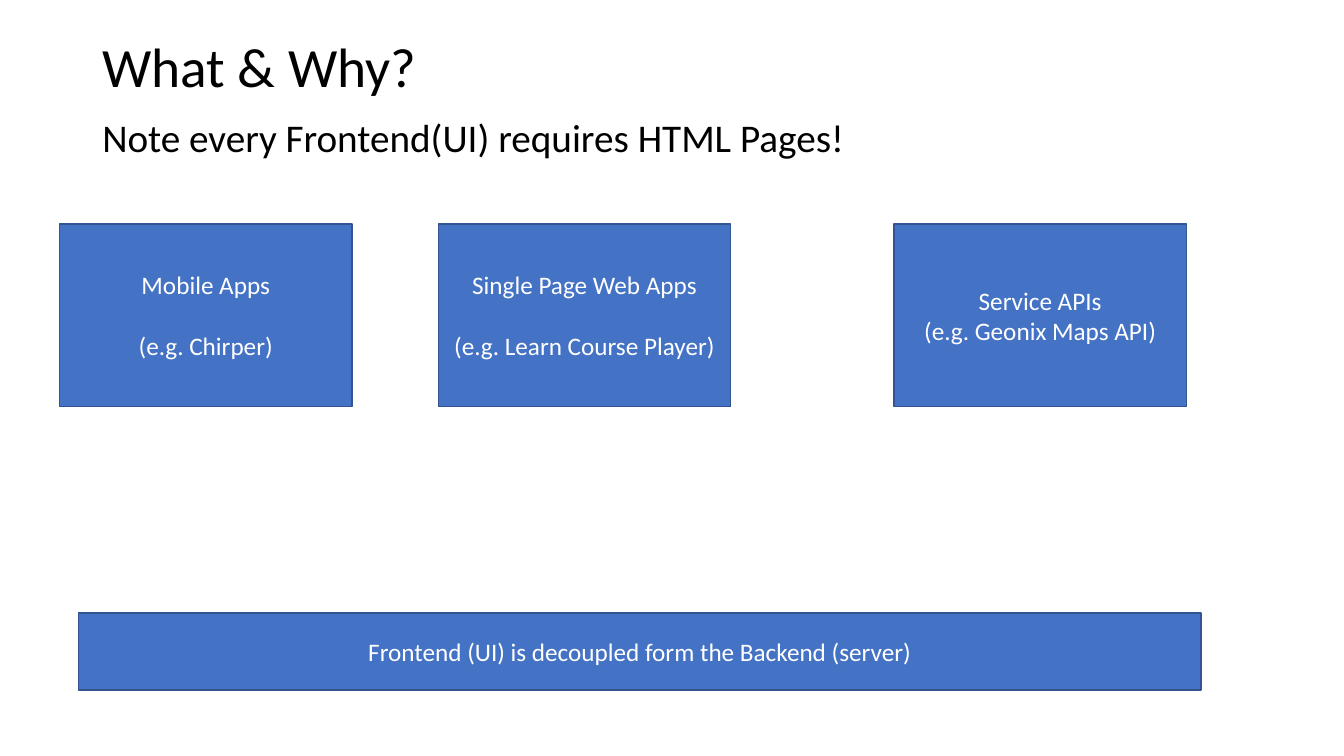
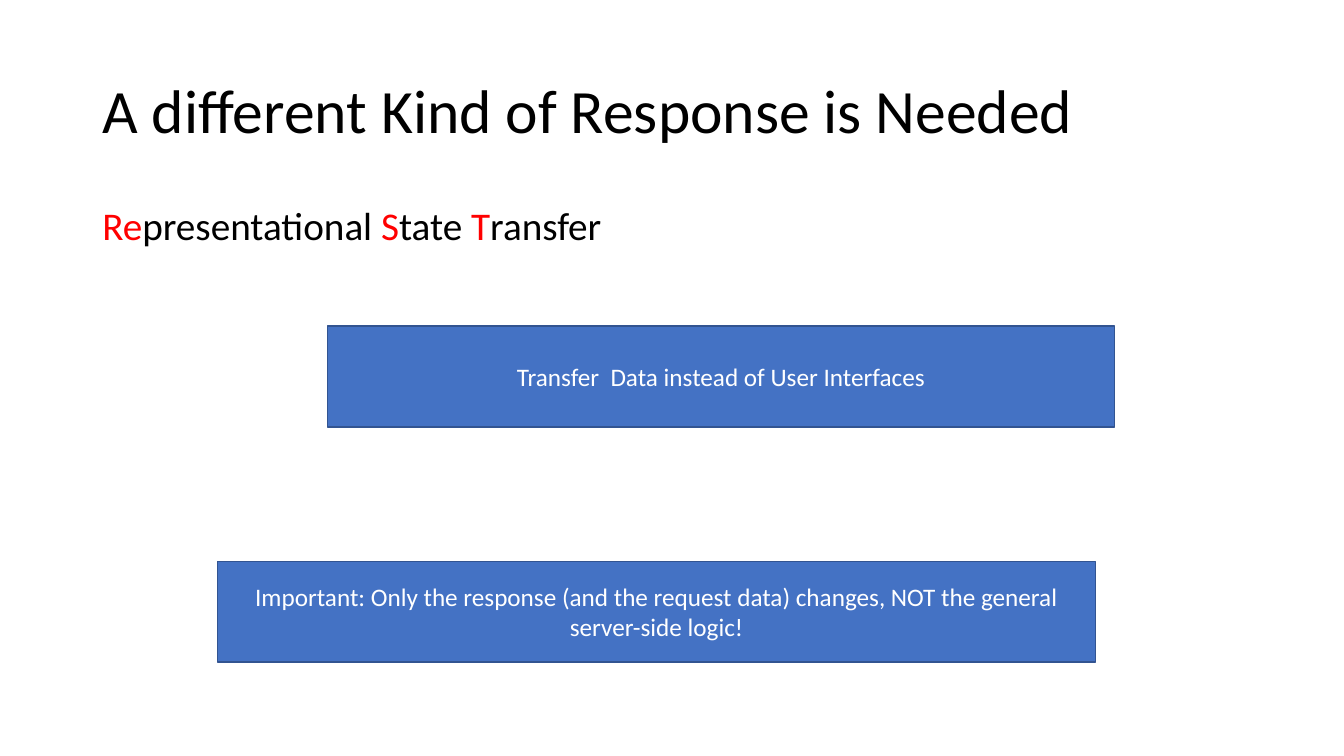
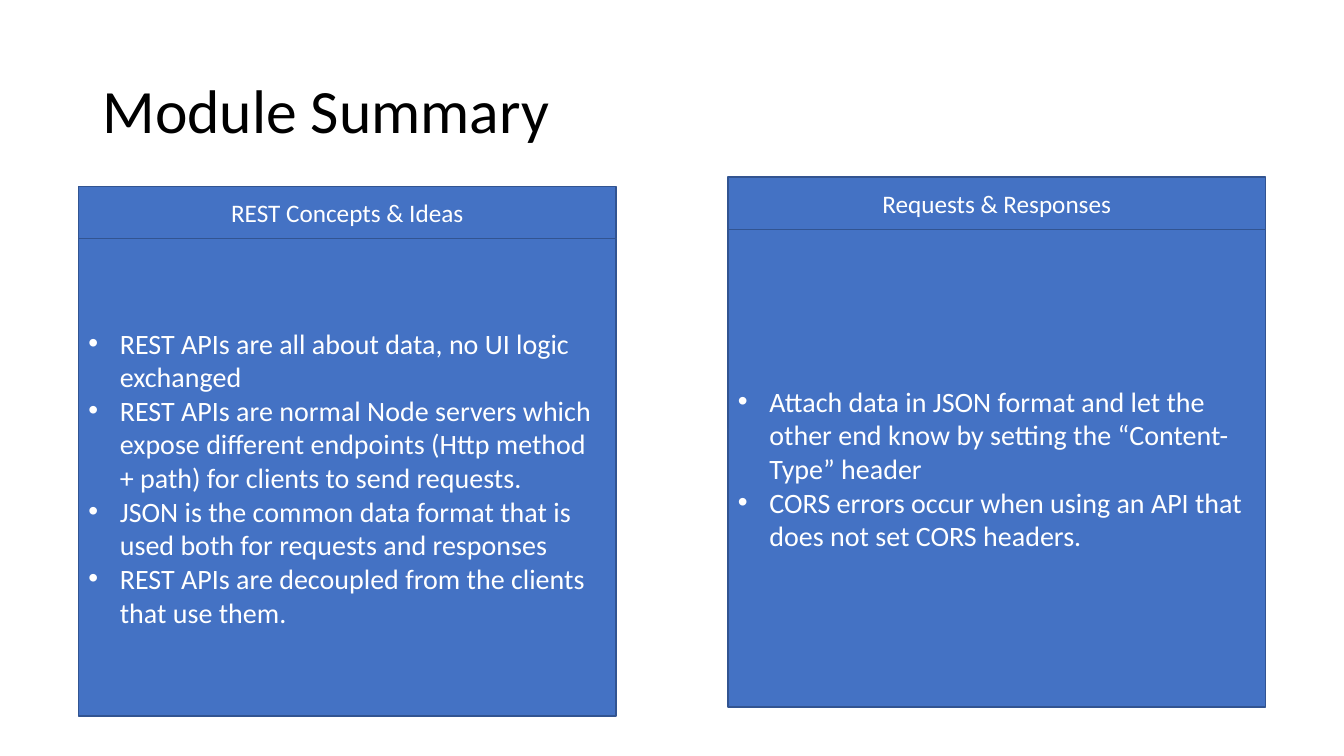
from lxml.etree import SubElement
from pptx import Presentation
from pptx.dml.color import RGBColor
from pptx.enum.shapes import MSO_SHAPE as Preset
from pptx.enum.text import MSO_ANCHOR as Anchor, MSO_AUTO_SIZE as AutoSize, PP_ALIGN as Align
from pptx.oxml.ns import qn
from pptx.util import Pt

BLACK = RGBColor(0x00, 0x00, 0x00)
WHITE = RGBColor(0xFF, 0xFF, 0xFF)
RED = RGBColor(0xFF, 0x00, 0x00)
BLUE = RGBColor(0x44, 0x72, 0xC4)
DARK_BLUE = RGBColor(0x32, 0x54, 0x91)

FONT = "Calibri"
MARGIN, TITLE_TOP, TITLE_WIDTH = 66, 29, 828
BULLET_INDENT = 22.5


def apply(target, values):
    """Set each attribute of target named in values."""
    for name, value in values.items():
        setattr(target, name, value)


class Deck:
    """Shared style, plus the slide being filled."""

    FRAME = {"word_wrap": True, "auto_size": AutoSize.NONE}
    HEADING = {"alignment": Align.LEFT, "line_spacing": 0.9}
    CENTRED = {"alignment": Align.CENTER}
    LISTED = {"alignment": Align.LEFT}

    def __init__(self):
        self.prs = Presentation()
        apply(self.prs, {"slide_width": Pt(960), "slide_height": Pt(540)})
        self.slide = None

    def fill_text(self, shape, paragraphs, size, color, layout, anchor=Anchor.MIDDLE):
        """Fill a shape; a paragraph is a list of (text, colour or None) runs."""
        frame = shape.text_frame
        apply(frame, {**self.FRAME, "vertical_anchor": anchor})
        for index, runs in enumerate(paragraphs):
            paragraph = frame.add_paragraph() if index else frame.paragraphs[0]
            apply(paragraph, layout)
            for text, accent in runs:
                run = paragraph.add_run()
                run.text = text
                apply(run.font, {"name": FONT, "size": Pt(size)})
                run.font.color.rgb = accent or color
        return frame.paragraphs

    def new_slide(self, title, size=44, height=104):
        self.slide = self.prs.slides.add_slide(self.prs.slide_layouts[5])
        heading = self.slide.shapes.title
        apply(heading, {"left": Pt(MARGIN), "top": Pt(TITLE_TOP),
                        "width": Pt(TITLE_WIDTH), "height": Pt(height)})
        self.fill_text(heading, [[(title, None)]], size, BLACK, self.HEADING)

    def subtitle(self, top, width, height, runs):
        box = self.slide.shapes.add_textbox(Pt(MARGIN), Pt(top), Pt(width), Pt(height))
        self.fill_text(box, [runs], 28, BLACK, self.HEADING, Anchor.TOP)

    def block(self, left, top, width, height, lines, size=18, layout=CENTRED):
        rect = self.slide.shapes.add_shape(
            Preset.RECTANGLE, Pt(left), Pt(top), Pt(width), Pt(height))
        rect.shadow.inherit = False
        rect.fill.solid()
        rect.fill.fore_color.rgb = BLUE
        rect.line.color.rgb = DARK_BLUE
        rect.line.width = Pt(1)
        return self.fill_text(rect, [[(line, None)] for line in lines], size, WHITE, layout)

    def panel(self, left, top, heading, points, width=384, head=37.5, body=341):
        """A heading block with a bulleted block below it."""
        self.block(left, top, width, head, [heading])
        for paragraph in self.block(left, top + head, width, body, points, 20, self.LISTED):
            props = paragraph._p.get_or_add_pPr()
            props.set("marL", str(Pt(BULLET_INDENT)))
            props.set("indent", str(-Pt(BULLET_INDENT)))
            SubElement(props, qn("a:buFont"), typeface="Arial")
            SubElement(props, qn("a:buChar"), char="•")


def main():
    deck = Deck()

    # What and why
    deck.new_slide("What & Why?", size=39.6, height=42)
    deck.subtitle(81.5, TITLE_WIDTH, 42,
                  [("Note every Frontend(UI) requires HTML Pages!", None)])
    clients = [
        (42.5, 22, ["Mobile Apps", "(e.g. Chirper)"]),
        (313, 22, ["Single Page Web Apps", "(e.g. Learn Course Player)"]),
        (638.5, 0, ["Service APIs", "(e.g. Geonix Maps API)"]),
    ]
    for left, gap, lines in clients:
        example = deck.block(left, 160, 209, 130.5, lines)[-1]
        example.space_before = Pt(gap)
    deck.block(56, 438, 802, 55, ["Frontend (UI) is decoupled form the Backend (server)"])

    # REST as another kind of response
    deck.new_slide("A different Kind of Response is Needed")
    deck.subtitle(144, 590, 62, [
        ("Re", RED), ("presentational ", None), ("S", RED),
        ("tate ", None), ("T", RED), ("ransfer", None)])
    deck.block(234, 233, 562, 72, ["Transfer  Data instead of User Interfaces"])
    deck.block(155.5, 401, 627, 72, [
        "Important: Only the response (and the request data) changes, "
        "NOT the general server-side logic!"])

    # Summary
    deck.new_slide("Module Summary")
    deck.panel(56, 133, "REST Concepts & Ideas", [
        "REST APIs are all about data, no UI logic exchanged",
        "REST APIs are normal Node servers which expose different endpoints "
        "(Http method + path) for clients to send requests.",
        "JSON is the common data format that is used both for requests and responses",
        "REST APIs are decoupled from the clients that use them."])
    deck.panel(520, 126.5, "Requests & Responses", [
        "Attach data in JSON format and let the other end know by setting "
        "the “Content-Type” header",
        "CORS errors occur when using an API that does not set CORS headers."])

    deck.prs.save("out.pptx")


if __name__ == "__main__":
    main()
